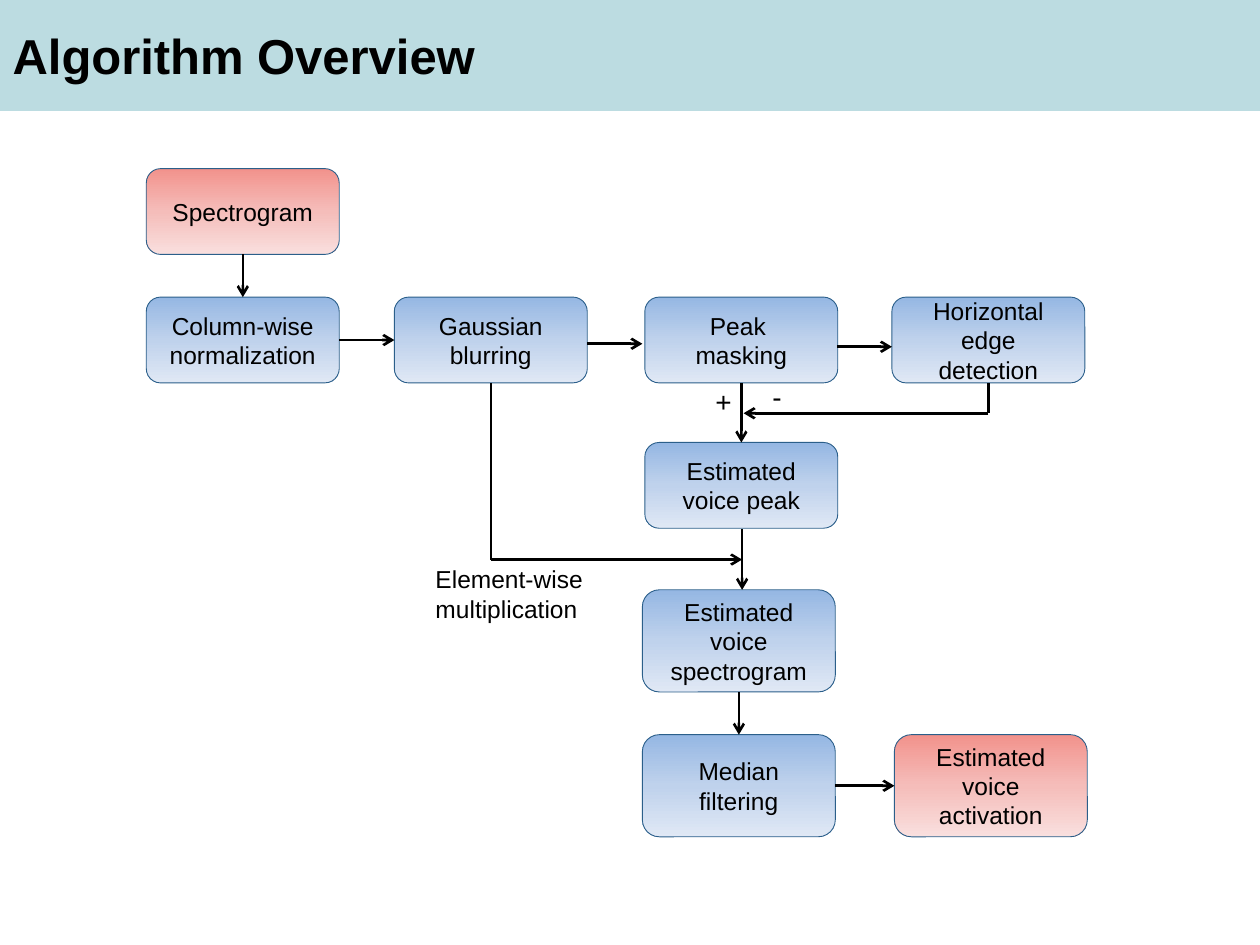
from copy import deepcopy
from dataclasses import dataclass
from typing import Optional, Union

from lxml import etree
from pptx import Presentation
from pptx import util as u
from pptx.dml.color import RGBColor
from pptx.enum import shapes, text
from pptx.oxml.ns import qn


@dataclass(frozen=True)
class Theme:
    font: str = "Arial"
    ink: str = "000000"
    banner: str = "BCDCE1"
    outline: str = "2B5F8A"
    blue: tuple = ("95B7E3", "BFD2EC", "E0E8F5")
    red: tuple = ("F2928C", "F5BDBA", "F9DFDE")
    title_pt: int = 28
    sign_pt: int = 16
    body_pt: int = 14


@dataclass(frozen=True)
class Step:
    key: str
    label: str
    x: float
    y: float
    h: float = 1.73
    red: bool = False


@dataclass(frozen=True)
class Label:
    label: str
    x: float
    y: float
    w: float
    h: float
    size: int


Point = tuple[float, float]
Joint = tuple[str, int]  # step key and connection site


@dataclass(frozen=True)
class Flow:
    start: Union[Point, Joint]
    end: Union[Point, Joint]
    arrow: bool = True


T = Theme()
TOP, LEFT, BOTTOM, RIGHT = range(4)
STEP_W, TALL = 3.89, 2.06
COLS = (2.95, 7.95, 13.0, 17.98)
ROW = 5.99
LOW_COL, LOW_ROW = 12.95, 14.81
MINUS_Y, PRODUCT_Y = 8.33, 11.28
GAUSS_X, EDGE_X = (COLS[i] + STEP_W / 2 for i in (1, 3))
MERGE_X = 14.96

STEPS = [
    Step("spectrogram", "Spectrogram", COLS[0], 3.4, red=True),
    Step("normalize", "Column-wise normalization", COLS[0], ROW),
    Step("blur", "Gaussian blurring", COLS[1], ROW),
    Step("mask", "Peak \nmasking", COLS[2], ROW),
    Step("edge", "Horizontal edge detection", COLS[3], ROW),
    Step("peak", "Estimated voice peak", COLS[2], 8.92),
    Step("voice", "Estimated voice spectrogram", LOW_COL, 11.89, TALL),
    Step("median", "Median filtering", LOW_COL, LOW_ROW, TALL),
    Step("activation", "Estimated voice activation", 18.03, LOW_ROW, TALL, True),
]

FLOWS = [
    Flow(("spectrogram", BOTTOM), ("normalize", TOP)),
    Flow(("normalize", RIGHT), ("blur", LEFT)),
    Flow((11.84, 6.93), (12.95, 6.93)),
    Flow((16.87, 6.99), (17.98, 6.99)),
    Flow(("mask", BOTTOM), ("peak", TOP)),
    Flow(("edge", BOTTOM), (EDGE_X, MINUS_Y), arrow=False),
    Flow((EDGE_X, MINUS_Y), (14.99, MINUS_Y)),
    Flow((MERGE_X, 10.67), (MERGE_X, 11.89)),
    Flow(("blur", BOTTOM), (GAUSS_X, PRODUCT_Y), arrow=False),
    Flow((GAUSS_X, PRODUCT_Y), (MERGE_X, PRODUCT_Y)),
    Flow(("voice", BOTTOM), ("median", TOP)),
    Flow(("median", RIGHT), ("activation", LEFT)),
]

LABELS = [
    Label("+", 14.17, 7.62, 0.84, 0.94, T.sign_pt),
    Label("-", 15.32, 7.52, 0.71, 0.94, T.sign_pt),
    Label("Element-wise\nmultiplication", 8.53, 11.25, 3.63, 1.45, T.body_pt),
]


def rgb(value: str) -> RGBColor:
    return RGBColor.from_string(value)


def write(tf, content: str, size: int, align, bold: bool = False) -> None:
    for i, line in enumerate(content.split("\n")):
        p = tf.paragraphs[0] if i == 0 else tf.add_paragraph()
        p.alignment = align
        r = p.add_run()
        r.text = line
        r.font.name, r.font.size, r.font.bold = T.font, u.Pt(size), bold
        r.font.color.rgb = rgb(T.ink)


def add_step(s, step: Step):
    sp = s.shapes.add_shape(shapes.MSO_SHAPE.ROUNDED_RECTANGLE,
                            *map(u.Cm, (step.x, step.y, STEP_W, step.h)))
    sp.shadow.inherit = False
    sp.fill.gradient()
    sp.fill.gradient_angle = 270
    # A gradient starts with two stops; a third goes between them
    stops = sp._element.spPr.find(".//" + qn("a:gsLst"))
    stops.insert(1, deepcopy(stops[0]))
    for stop, place, color in zip(sp.fill.gradient_stops, (0, 0.5, 1),
                                  T.red if step.red else T.blue):
        stop.position, stop.color.rgb = place, rgb(color)
    sp.line.color.rgb, sp.line.width = rgb(T.outline), u.Pt(0.5)
    tf = sp.text_frame
    tf.word_wrap, tf.vertical_anchor = True, text.MSO_ANCHOR.MIDDLE
    write(tf, step.label, T.body_pt, text.PP_ALIGN.CENTER)
    return sp


def joint(end) -> Optional[Joint]:
    return end if isinstance(end[0], str) else None


def add_flow(s, flow: Flow, boxes: dict) -> None:
    ends = [(0, 0) if joint(e) else e for e in (flow.start, flow.end)]
    c = s.shapes.add_connector(shapes.MSO_CONNECTOR.STRAIGHT,
                               *(u.Cm(v) for e in ends for v in e))
    for end, connect in ((flow.start, c.begin_connect), (flow.end, c.end_connect)):
        if joint(end):
            connect(boxes[end[0]], end[1])
    c.line.color.rgb, c.line.width = rgb(T.ink), u.Pt(1.5)
    if flow.arrow:
        etree.SubElement(c.line._get_or_add_ln(), qn("a:tailEnd"), type="arrow")
    etree.SubElement(c._element.spPr, qn("a:effectLst"))


def add_label(s, item: Label) -> None:
    sp = s.shapes.add_textbox(*map(u.Cm, (item.x, item.y, item.w, item.h)))
    tf = sp.text_frame
    tf.word_wrap, tf.auto_size = False, text.MSO_AUTO_SIZE.SHAPE_TO_FIT_TEXT
    write(tf, item.label, item.size, text.PP_ALIGN.LEFT)


def add_header(s, title: str, width: float) -> None:
    sp = s.shapes.add_shape(shapes.MSO_SHAPE.RECTANGLE, *map(u.Cm, (0, 0, width, 2.21)))
    sp.shadow.inherit = False
    sp.fill.solid()
    sp.fill.fore_color.rgb = sp.line.color.rgb = rgb(T.banner)
    sp.line.width = u.Pt(2)
    # The title goes in front of its banner
    ph = s.shapes.title
    sp._element.addnext(ph._element)
    ph.left, ph.top, ph.width, ph.height = map(u.Cm, (0, 0.38, width, 1.45))
    tf = ph.text_frame
    tf.word_wrap, tf.auto_size = True, text.MSO_AUTO_SIZE.NONE
    tf.vertical_anchor = text.MSO_ANCHOR.TOP
    write(tf, title, T.title_pt, text.PP_ALIGN.LEFT, bold=True)


def main() -> None:
    prs = Presentation()
    prs.slide_width, prs.slide_height = u.Cm(25.4), u.Cm(19.05)
    s = prs.slides.add_slide(prs.slide_layouts[5])

    # Flow chart
    boxes = {step.key: add_step(s, step) for step in STEPS}
    for flow in FLOWS:
        add_flow(s, flow, boxes)
    for item in LABELS:
        add_label(s, item)

    # Header
    add_header(s, "Algorithm Overview", 25.4)
    prs.save("out.pptx")


if __name__ == "__main__":
    main()
